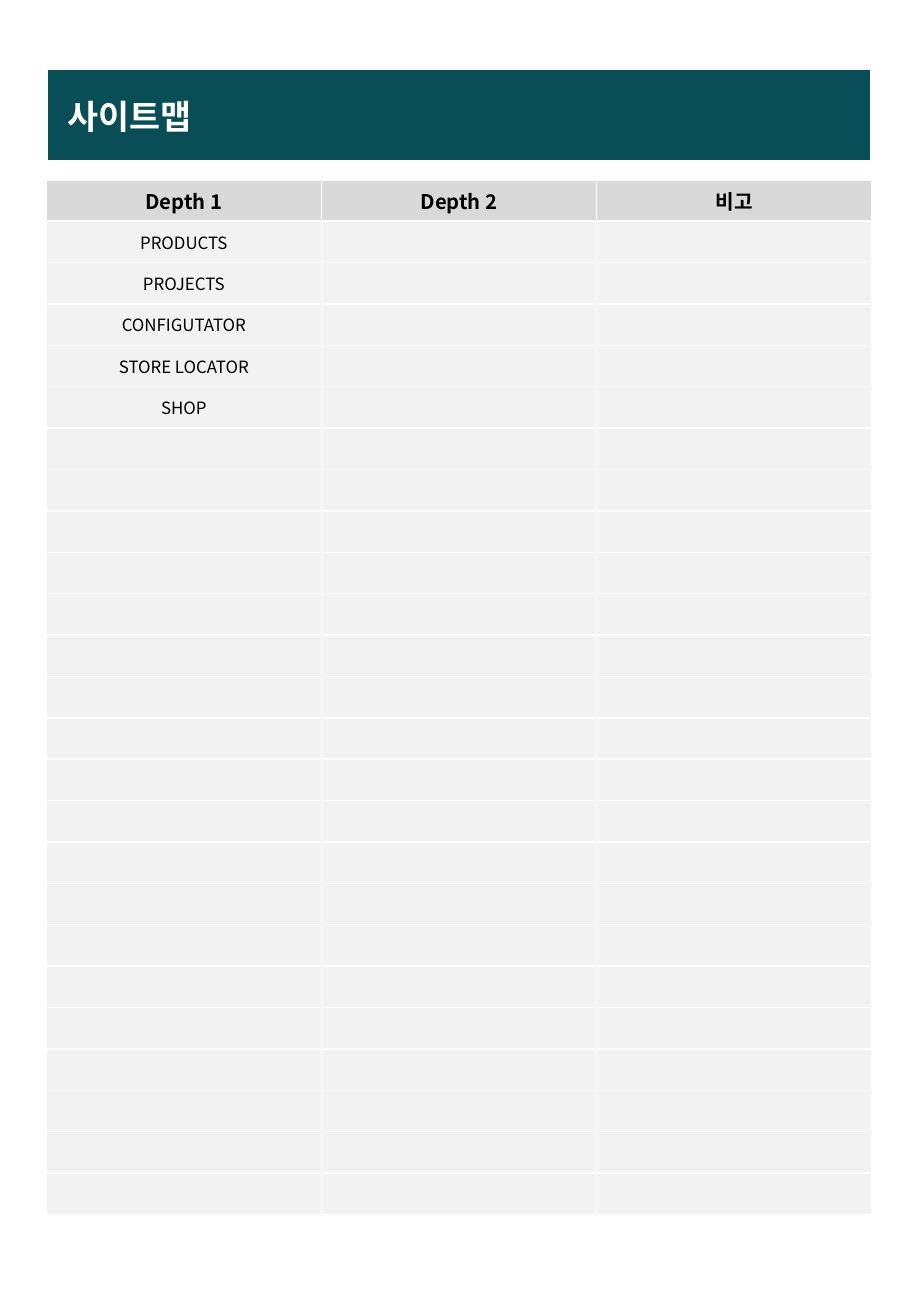
from lxml.etree import SubElement
from pptx import Presentation
from pptx.dml.color import RGBColor
from pptx.enum.text import MSO_ANCHOR as Anchor, PP_ALIGN as Align
from pptx.oxml import parse_xml
from pptx.oxml.ns import nsdecls, qn
from pptx.util import Inches, Pt

# Content
TITLE = " 사이트맵"
HEADERS = ["Depth 1", "Depth 2", "비고"]
PAGES = ["PRODUCTS", "PROJECTS", "CONFIGUTATOR", "STORE LOCATOR", "SHOP"]
BODY_ROWS = 24

# Look
COLORS = {"banner": "094D56", "header": "D9D9D9", "body": "F2F2F2",
          "white": "FFFFFF", "black": "000000"}
LATIN, KOREAN = "Arial", "Noto Sans CJK KR"

# Layout in inches
WIDTH, HEIGHT = 7.5, 10.83
BANNER = (0.39, 0.57, 6.78, 0.75)
SITEMAP = (0.38, 1.48, 6.8, 8.52)


def add_grid(slide, rows, columns, box):
    left, top, width, height = map(Inches, box)
    table = slide.shapes.add_table(rows, columns, left, top, width, height).table
    table.first_row = table.horz_banding = False
    for column in table.columns:
        column.width = width // columns
    for row in table.rows:
        row.height = height // rows
    return table


def set_borders(cell, sides):
    properties = cell._tc.get_or_add_tcPr()
    for index, side in enumerate(sides):
        properties.insert(index, parse_xml(
            f'<a:ln{side} {nsdecls("a")} w="{Pt(1)}"><a:solidFill>'
            f'<a:srgbClr val="{COLORS["white"]}"/></a:solidFill></a:ln{side}>'))


def fill_cell(cell, text, fill, color, font_name, size, bold=False, align=Align.CENTER):
    cell.fill.solid()
    cell.fill.fore_color.rgb = RGBColor.from_string(COLORS[fill])
    cell.vertical_anchor = Anchor.MIDDLE
    paragraph = cell.text_frame.paragraphs[0]
    paragraph.alignment = align
    if not text:
        # Keep the empty line as small as the body text
        SubElement(paragraph._p, qn("a:endParaRPr"), sz=str(size * 100))
        return
    run = paragraph.add_run()
    run.text = text
    font = run.font
    font.name, font.size, font.bold = font_name, Pt(size), bold
    font.color.rgb = RGBColor.from_string(COLORS[color])
    SubElement(font._element, qn("a:ea"), typeface=KOREAN)


def main():
    presentation = Presentation()
    presentation.slide_width = Inches(WIDTH)
    presentation.slide_height = Inches(HEIGHT)
    slide = presentation.slides.add_slide(presentation.slide_layouts[6])

    # Sitemap table
    rows = [HEADERS] + [[page, "", ""] for page in PAGES]
    rows += [[""] * len(HEADERS)] * (BODY_ROWS - len(PAGES))
    sitemap = add_grid(slide, len(rows), len(HEADERS), SITEMAP)
    for r, texts in enumerate(rows):
        fill, size, bold = ("body", 10, False) if r else ("header", 12, True)
        for c, text in enumerate(texts):
            cell = sitemap.cell(r, c)
            cell.margin_left = cell.margin_right = 0
            cell.margin_top = cell.margin_bottom = 0
            fill_cell(cell, text, fill, "black", KOREAN, size, bold)
            set_borders(cell, "LRTB")

    # Title banner
    banner = add_grid(slide, 1, 1, BANNER).cell(0, 0)
    fill_cell(banner, TITLE, "banner", "white", LATIN, 20, True, Align.LEFT)
    set_borders(banner, "B")

    presentation.save("out.pptx")


if __name__ == "__main__":
    main()
